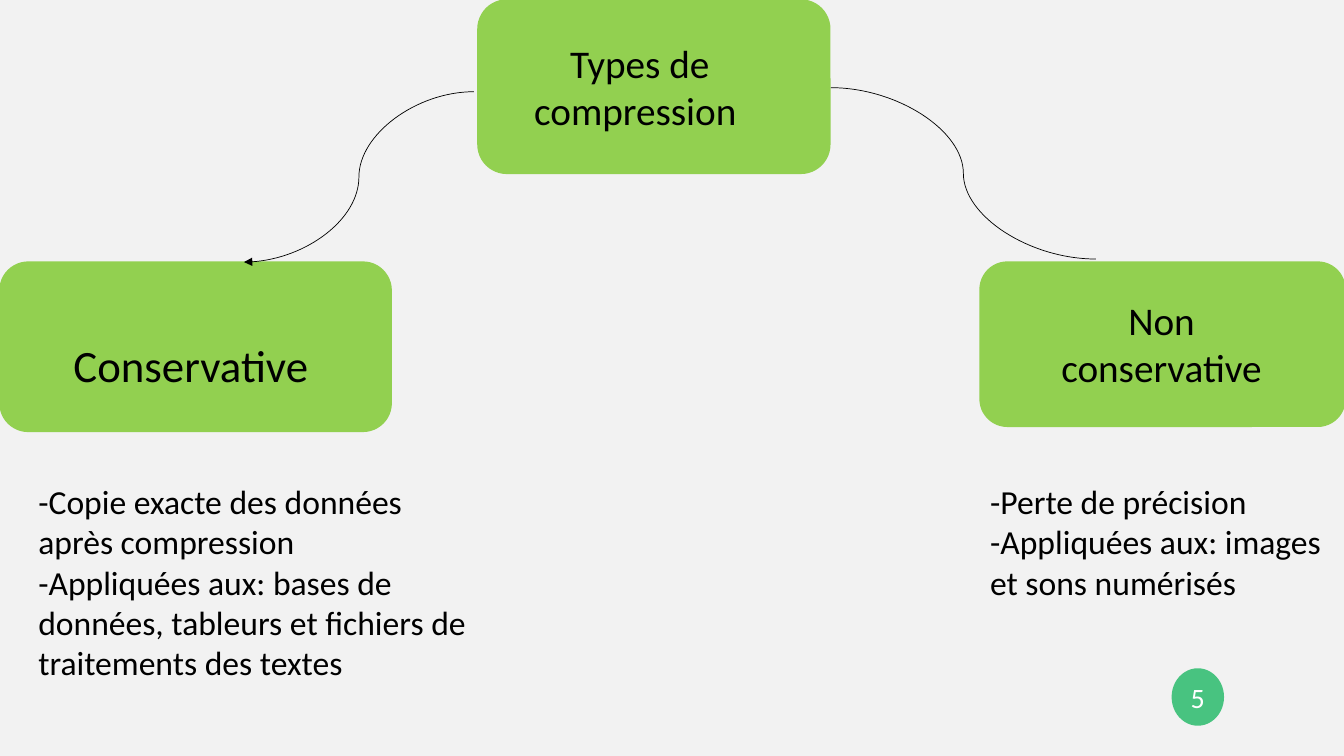
import pptx
import pptx.util
import pptx.dml.color
import pptx.enum.shapes
import pptx.enum.text
import pptx.oxml
import pptx.oxml.ns
import lxml.etree

Inches, Pt = pptx.util.Inches, pptx.util.Pt
RGB = pptx.dml.color.RGBColor.from_string
MSO = pptx.enum.shapes.MSO_SHAPE
ALIGN = pptx.enum.text.PP_ALIGN
ANCHOR = pptx.enum.text.MSO_ANCHOR
qn = pptx.oxml.ns.qn

theme = {
    "font": "Calibri", "back": "F2F2F2", "box": "92D050", "badge": "00B050",
    "ink": "000000", "white": "FFFFFF",
    "branch": 32, "heading": 28, "list": 24, "number": 20,
}


def place(sp, box):
    sp.left, sp.top, sp.width, sp.height = [Inches(v) for v in box]


def write(sp, lines, size, align, color="ink", anchor=ANCHOR.TOP):
    tf = sp.text_frame
    tf.text = "\n".join(lines)
    tf.word_wrap = True
    tf.auto_size = pptx.enum.text.MSO_AUTO_SIZE.NONE
    tf.vertical_anchor = anchor
    for p in tf.paragraphs:
        p.alignment = align
        p.space_before = Pt(0)
        for r in p.runs:
            r.font.name = theme["font"]
            r.font.size = Pt(theme[size])
            r.font.color.rgb = RGB(theme[color])


prs = pptx.Presentation()
prs.slide_width, prs.slide_height = Inches(13.33), Inches(7.5)
s = prs.slides.add_slide(prs.slide_layouts[3])
s.background.fill.solid()
s.background.fill.fore_color.rgb = RGB(theme["back"])

for box in [(0, 2.6, 3.88, 1.68), (4.74, 0, 3.49, 1.72), (9.72, 2.6, 3.62, 1.63)]:
    sp = s.shapes.add_shape(MSO.ROUNDED_RECTANGLE, *[Inches(v) for v in box])
    sp.shadow.inherit = False
    sp.fill.solid()
    sp.fill.fore_color.rgb = RGB(theme["box"])
    sp.line.color.rgb = RGB(theme["box"])
    sp.line.width = Pt(1)

title = s.shapes.title
place(title, (4.96, 0.34, 2.77, 1.04))
write(title, ["Types de compression "], "heading", ALIGN.CENTER)
title.element.getparent().append(title.element)

branches = [
    ("Conservative ", (0.63, 3.3, 2.71, 0.64), "branch", ALIGN.LEFT),
    ("Non conservative", (10.06, 2.89, 2.92, 1.04), "heading", ALIGN.CENTER),
]
for name, box, size, align in branches:
    sp = s.shapes.add_textbox(*[Inches(v) for v in box])
    write(sp, [name], size, align)

lists = [
    (1, (0.28, 4.72, 4.46, 2.12), [
        "-Copie exacte des données après compression",
        "-Appliquées aux: bases de données, tableurs et fichiers de traitements des textes"]),
    (2, (9.72, 4.72, 3.62, 1.31), [
        "-Perte de précision ",
        "-Appliquées aux: images et sons numérisés"]),
]
for idx, box, lines in lists:
    body = s.placeholders[idx]
    place(body, box)
    write(body, lines, "list", ALIGN.LEFT)
    for p in body.text_frame.paragraphs:
        pPr = p._p.get_or_add_pPr()
        pPr.set("marL", "0")
        pPr.set("indent", "0")
        lxml.etree.SubElement(pPr, qn("a:buNone"))

links = [((4.7, 0.91), (2.42, 2.6), True), ((8.24, 0.87), (10.87, 2.57), False)]
for start, end, arrow in links:
    cx = s.shapes.add_connector(pptx.enum.shapes.MSO_CONNECTOR.CURVE,
                                *[Inches(v) for v in start + end])
    cx.line.color.rgb = RGB(theme["ink"])
    cx.line.width = Pt(0.5)
    if arrow:
        ln = cx.line._get_or_add_ln()
        lxml.etree.SubElement(ln, qn("a:tailEnd")).set("type", "triangle")
    lxml.etree.SubElement(cx._element.spPr, qn("a:effectLst"))

badge = s.shapes.add_shape(MSO.OVAL, *[Inches(v) for v in (11.62, 6.63, 0.52, 0.57)])
badge.shadow.inherit = False
badge.fill.solid()
badge.fill.fore_color.rgb = RGB(theme["badge"])
badge.line.fill.background()
clr = badge._element.spPr.find(qn("a:solidFill")).find(qn("a:srgbClr"))
lxml.etree.SubElement(clr, qn("a:alpha")).set("val", "70000")
write(badge, ["5"], "number", ALIGN.CENTER, "white", ANCHOR.MIDDLE)
badge.text_frame.margin_left = badge.text_frame.margin_right = Inches(0.02)

prs.save("out.pptx")
